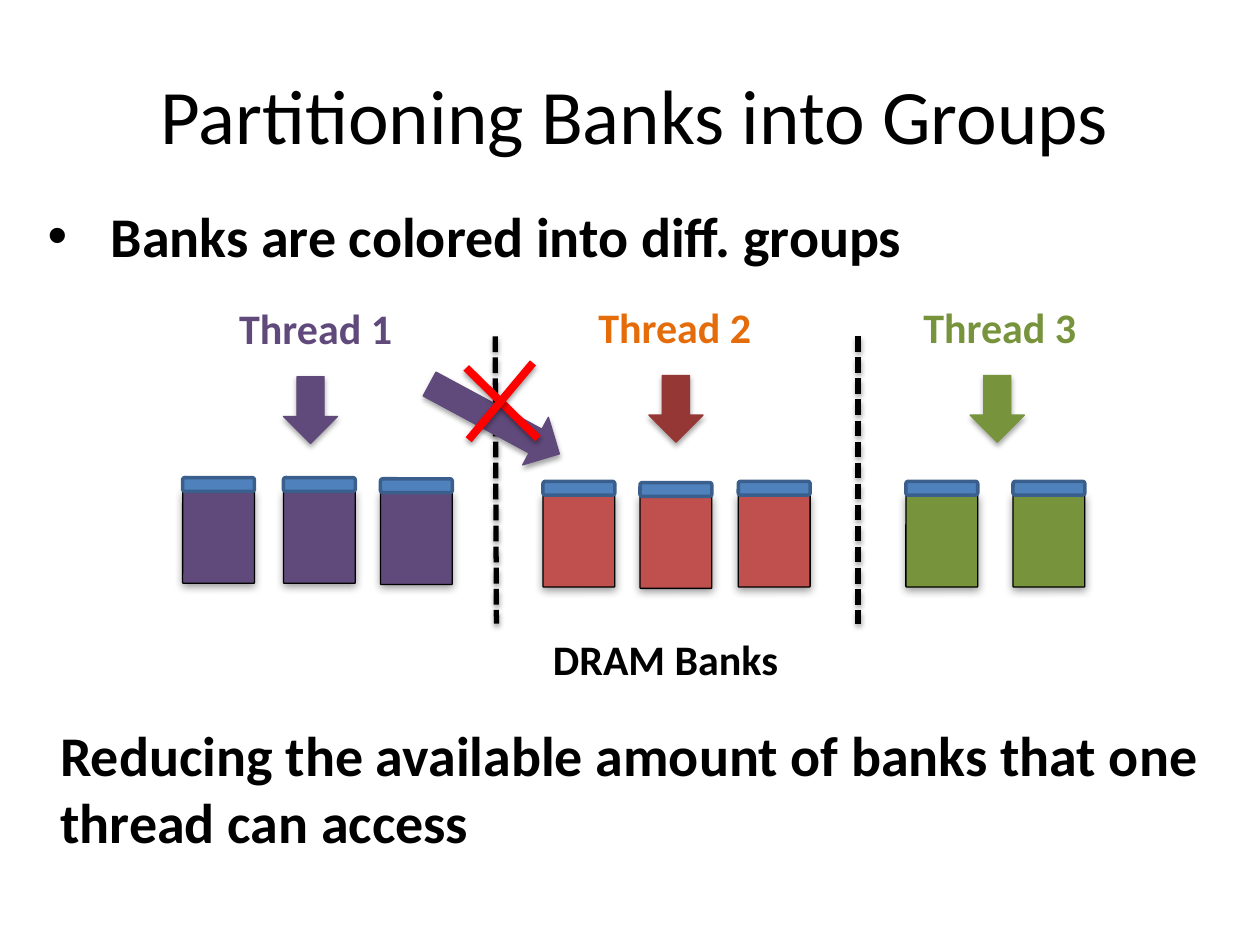
from lxml import etree
from pptx import Presentation
from pptx.dml.color import RGBColor
from pptx.enum.dml import MSO_LINE
from pptx.enum.shapes import MSO_CONNECTOR, MSO_SHAPE
from pptx.enum.text import MSO_ANCHOR, PP_ALIGN
from pptx.oxml import parse_xml
from pptx.oxml.ns import nsdecls, qn
from pptx.util import Inches, Pt

BLACK, PURPLE, GREEN = "000000", "604A7B", "77933C"
BANK_WIDTH, BANK_HEIGHT, LID_HEIGHT = 0.57, 0.73, 0.11
ARROW_WIDTH, ARROW_HEIGHT = 0.43, 0.53

# Left edges and lid heights are measured from the group's top left corner
GROUPS = [
    {"name": "Thread 1", "box": (1.45, 2.35, 2.14, 2.3), "label": (0.35, 1.57),
     "label_color": PURPLE, "arrow_left": 0.8, "arrow_color": PURPLE, "bank_color": PURPLE,
     "banks": [(0, 1.44), (0.8, 1.44), (1.57, 1.45)]},
    {"name": "Thread 2", "box": (4.31, 2.34, 2.12, 2.33), "label": (0.34, 2),
     "label_color": "E46C0A", "arrow_left": 0.84, "arrow_color": "953735", "bank_color": "C0504D",
     "banks": [(0, 1.48), (0.77, 1.49), (1.55, 1.48)]},
    {"name": "Thread 3", "box": (7.19, 2.34, 1.42, 2.32), "label": (0.04, 1.63),
     "label_color": GREEN, "arrow_left": 0.51, "arrow_color": GREEN, "bank_color": GREEN,
     "banks": [(0, 1.48), (0.85, 1.48)]},
]


def rgb(color):
    return RGBColor.from_string(color)


def add_shadow(shape, alpha, blur, distance):
    """Give a shape or connector a soft black shadow straight below it."""
    properties = shape._element.spPr
    for old in properties.findall(qn("a:effectLst")):
        properties.remove(old)
    properties.append(parse_xml(
        f'<a:effectLst {nsdecls("a")}><a:outerShdw blurRad="{Pt(blur)}" dist="{Pt(distance)}" '
        f'dir="5400000" rotWithShape="0"><a:srgbClr val="{BLACK}">'
        f'<a:alpha val="{alpha * 1000}"/></a:srgbClr></a:outerShdw></a:effectLst>'))


def add_text(slide, box, text, size, color=BLACK, bold=True, align=PP_ALIGN.LEFT,
             anchor=MSO_ANCHOR.TOP, bullet=False):
    frame = slide.shapes.add_textbox(*map(Inches, box)).text_frame
    frame.word_wrap = True
    frame.vertical_anchor = anchor
    paragraph = frame.paragraphs[0]
    paragraph.text = text
    paragraph.alignment = align
    if bullet:
        properties = paragraph._p.get_or_add_pPr()
        properties.set("marL", str(Inches(0.5)))
        properties.set("indent", str(Inches(-0.5)))
        etree.SubElement(properties, qn("a:buFont")).set("typeface", "Arial")
        etree.SubElement(properties, qn("a:buChar")).set("char", "•")
    font = paragraph.runs[0].font
    for name, value in {"name": "Calibri", "size": Pt(size), "bold": bold}.items():
        setattr(font, name, value)
    font.color.rgb = rgb(color)


def add_block(slide, kind, box, fill, line, line_width):
    shape = slide.shapes.add_shape(kind, *map(Inches, box))
    shape.shadow.inherit = False
    shape.fill.solid()
    shape.fill.fore_color.rgb = rgb(fill)
    shape.line.color.rgb = rgb(line)
    shape.line.width = Pt(line_width)
    return shape


def add_line(slide, start, end, color, width, dash=None):
    line = slide.shapes.add_connector(MSO_CONNECTOR.STRAIGHT, *map(Inches, start + end))
    line.line.color.rgb = rgb(color)
    line.line.width = Pt(width)
    if dash:
        line.line.dash_style = dash
    add_shadow(line, 38, 3.1, 1.6)


def add_arrow(slide, box, color, rotation=0):
    arrow = add_block(slide, MSO_SHAPE.DOWN_ARROW, box, color, color, 0.75)
    arrow.rotation = rotation
    add_shadow(arrow, 35, 3.1, 1.8)


def add_bank(slide, left, top, color):
    body = add_block(slide, MSO_SHAPE.ROUNDED_RECTANGLE,
                     (left, top + LID_HEIGHT, BANK_WIDTH, BANK_HEIGHT), color, BLACK, 0.75)
    body.adjustments[0] = 0.013
    add_shadow(body, 38, 5, 1.6)
    add_block(slide, MSO_SHAPE.ROUNDED_RECTANGLE,
              (left, top, BANK_WIDTH, LID_HEIGHT), "4F81BD", "3A5F8C", 2)


def add_thread_group(slide, group):
    """A thread label, its arrow and the banks it may use."""
    left, top, width, height = group["box"]
    label_left, label_width = group["label"]
    add_text(slide, (left + label_left, top, label_width, 0.5), group["name"], 24,
             group["label_color"])
    add_arrow(slide, (left + group["arrow_left"], top + 0.64, ARROW_WIDTH, ARROW_HEIGHT),
              group["arrow_color"])
    for bank_left, bank_top in group["banks"]:
        add_bank(slide, left + bank_left, top + bank_top, group["bank_color"])


def add_dividers(slide, box):
    left, top, width, height = box
    for x, lean in ((left, 0.01), (left + width, 0)):
        add_line(slide, (x, top), (x + lean, top + height), BLACK, 3, MSO_LINE.SQUARE_DOT)


def add_blocked_access(slide, box):
    """A crossed-out arrow from one group into the next."""
    left, top, width, height = box
    add_arrow(slide, box, PURPLE, 298.3)
    add_line(slide, (left - 0.01, top + 0.18), (left + 0.56, top + 0.74), "FF0000", 4.5)
    add_line(slide, (left + 0.01, top + 0.75), (left + 0.52, top + 0.14), "FF0000", 4.5)


def main():
    presentation = Presentation()
    presentation.slide_width, presentation.slide_height = Inches(10), Inches(7.5)
    slide = presentation.slides.add_slide(presentation.slide_layouts[6])

    # Heading and lead point
    add_text(slide, (0.28, 1.55, 9.51, 0.64), "Banks are colored into diff. groups", 32, bullet=True)
    add_text(slide, (0.54, 0.28, 9, 1.25), "Partitioning Banks into Groups", 44, bold=False,
             align=PP_ALIGN.CENTER, anchor=MSO_ANCHOR.MIDDLE)

    # Bank diagram
    add_dividers(slide, (3.93, 2.67, 2.88, 2.28))
    for group in GROUPS:
        add_thread_group(slide, group)
    add_blocked_access(slide, (3.71, 2.74, ARROW_WIDTH, 1.17))
    add_text(slide, (4.29, 4.98, 2.19, 0.5), "DRAM Banks", 24)

    # Conclusion
    add_text(slide, (0.38, 5.67, 9.72, 1.18),
             "Reducing the available amount of banks that one thread can access", 32)

    presentation.save("out.pptx")


if __name__ == "__main__":
    main()
